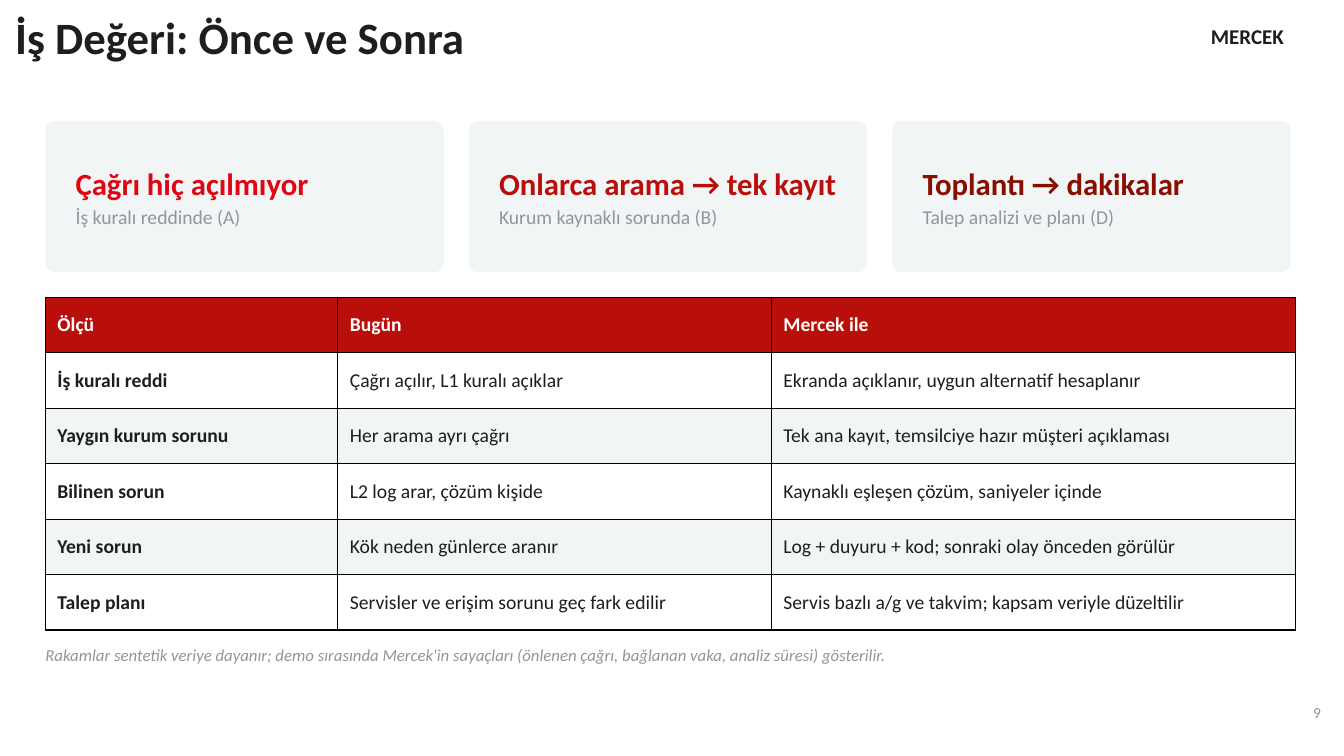
from lxml import etree
from pptx import Presentation
from pptx.dml.color import RGBColor
from pptx.enum.shapes import MSO_SHAPE
from pptx.enum.text import MSO_ANCHOR, PP_ALIGN
from pptx.oxml.ns import qn
from pptx.util import Inches, Pt

ROUNDED = MSO_SHAPE.ROUNDED_RECTANGLE
TOP, MIDDLE = MSO_ANCHOR.TOP, MSO_ANCHOR.MIDDLE
LEFT, RIGHT = PP_ALIGN.LEFT, PP_ALIGN.RIGHT

FONT = "Calibri"
INK = RGBColor(0x1E, 0x1E, 0x1E)
GREY = RGBColor(0x91, 0x96, 0x9B)
PALE = RGBColor(0xF2, 0xF5, 0xF6)
WHITE = RGBColor(0xFF, 0xFF, 0xFF)
BRIGHT_RED = RGBColor(0xE1, 0x05, 0x14)
RED = RGBColor(0xB9, 0x0F, 0x0A)
DARK_RED = RGBColor(0x87, 0x0F, 0x00)

# Regions in inches: left, top, width, height
MARGIN, CONTENT_WIDTH = 0.45, 12.4
CARDS_BOX = (MARGIN, 1.2, 12.35, 1.5)
TABLE_BOX = (MARGIN, 2.95, CONTENT_WIDTH, 3.3)
NOTE_BOX = (MARGIN, 6.4, CONTENT_WIDTH, 0.3)
CARD_GAP, CARD_PADDING = 0.25, 0.3
COLUMN_WIDTHS = (2.9, 4.3, 5.2)

CARDS = [
    ("Çağrı hiç açılmıyor", "İş kuralı reddinde (A)", BRIGHT_RED),
    ("Onlarca arama → tek kayıt", "Kurum kaynaklı sorunda (B)", RED),
    ("Toplantı → dakikalar", "Talep analizi ve planı (D)", DARK_RED),
]
ROWS = [
    ("Ölçü", "Bugün", "Mercek ile"),
    ("İş kuralı reddi", "Çağrı açılır, L1 kuralı açıklar",
     "Ekranda açıklanır, uygun alternatif hesaplanır"),
    ("Yaygın kurum sorunu", "Her arama ayrı çağrı",
     "Tek ana kayıt, temsilciye hazır müşteri açıklaması"),
    ("Bilinen sorun", "L2 log arar, çözüm kişide",
     "Kaynaklı eşleşen çözüm, saniyeler içinde"),
    ("Yeni sorun", "Kök neden günlerce aranır",
     "Log + duyuru + kod; sonraki olay önceden görülür"),
    ("Talep planı", "Servisler ve erişim sorunu geç fark edilir",
     "Servis bazlı a/g ve takvim; kapsam veriyle düzeltilir"),
]


def write(paragraph, text, size=14, color=INK, bold=False, italic=False,
          align=LEFT, after=0):
    paragraph.alignment = align
    paragraph.space_after = Pt(after)
    run = paragraph.add_run()
    run.text = text
    font = run.font
    font.name, font.size, font.bold, font.italic = FONT, Pt(size), bold, italic
    font.color.rgb = color


def add_frame(slide, box, anchor=TOP):
    """Add a wrapping text box without insets and return its text frame."""
    frame = slide.shapes.add_textbox(*map(Inches, box)).text_frame
    frame.word_wrap = True
    frame.vertical_anchor = anchor
    frame.margin_left = frame.margin_right = 0
    frame.margin_top = frame.margin_bottom = 0
    return frame


def add_label(slide, box, text, anchor=TOP, **style):
    write(add_frame(slide, box, anchor).paragraphs[0], text, after=4, **style)


def add_card(slide, box, headline, caption, color):
    left, top, width, height = box
    card = slide.shapes.add_shape(ROUNDED, *map(Inches, box))
    card.adjustments[0] = 0.06
    card.shadow.inherit = False
    card.fill.solid()
    card.fill.fore_color.rgb = PALE
    card.line.fill.background()

    text_box = (left + CARD_PADDING, top, width - 0.55, height)
    frame = add_frame(slide, text_box, MIDDLE)
    write(frame.paragraphs[0], headline, size=22, color=color, bold=True, after=2)
    write(frame.add_paragraph(), caption, color=GREY, after=2)


def add_cards(slide, box):
    left, top, width, height = box
    card_width = (width - CARD_GAP * (len(CARDS) - 1)) / len(CARDS)
    for index, card in enumerate(CARDS):
        card_left = left + index * (card_width + CARD_GAP)
        add_card(slide, (card_left, top, card_width, height), *card)


def add_borders(cell):
    """Draw a black line on all four sides of a cell."""
    properties = cell._tc.get_or_add_tcPr()
    for index, side in enumerate(("a:lnL", "a:lnR", "a:lnT", "a:lnB")):
        line = etree.Element(qn(side), w=str(Pt(1)))
        fill = etree.SubElement(line, qn("a:solidFill"))
        etree.SubElement(fill, qn("a:srgbClr"), val="000000")
        properties.insert(index, line)


def add_comparison(slide, box):
    table = slide.shapes.add_table(
        len(ROWS), len(COLUMN_WIDTHS), *map(Inches, box)).table
    for column, width in zip(table.columns, COLUMN_WIDTHS):
        column.width = Inches(width)
    for row_index, row in enumerate(ROWS):
        header = row_index == 0
        fill = RED if header else WHITE if row_index % 2 else PALE
        for column_index, text in enumerate(row):
            cell = table.cell(row_index, column_index)
            cell.vertical_anchor = MIDDLE
            cell.margin_left = cell.margin_right = Inches(0.12)
            cell.margin_top = cell.margin_bottom = Inches(0.05)
            cell.fill.solid()
            cell.fill.fore_color.rgb = fill
            add_borders(cell)
            write(cell.text_frame.paragraphs[0], text,
                  color=WHITE if header else INK,
                  bold=header or column_index == 0)


def add_header(slide):
    add_label(slide, (0.15, 0.1, 11, 0.62), "İş Değeri: Önce ve Sonra",
              size=32, bold=True)
    add_label(slide, (12.01, 0.17, 1.8, 0.38), "MERCEK", anchor=MIDDLE,
              size=15, bold=True)


def add_footer(slide):
    add_label(slide, NOTE_BOX,
              "Rakamlar sentetik veriye dayanır; demo sırasında Mercek'in sayaçları "
              "(önlenen çağrı, bağlanan vaka, analiz süresi) gösterilir.",
              size=12, color=GREY, italic=True)
    add_label(slide, (12.35, 6.98, 0.75, 0.3), "9", size=11, color=GREY, align=RIGHT)


def main():
    presentation = Presentation()
    presentation.slide_width = Inches(13.33)
    presentation.slide_height = Inches(7.5)
    slide = presentation.slides.add_slide(presentation.slide_layouts[6])
    add_header(slide)
    add_cards(slide, CARDS_BOX)
    add_comparison(slide, TABLE_BOX)
    add_footer(slide)
    presentation.save("out.pptx")


if __name__ == "__main__":
    main()
